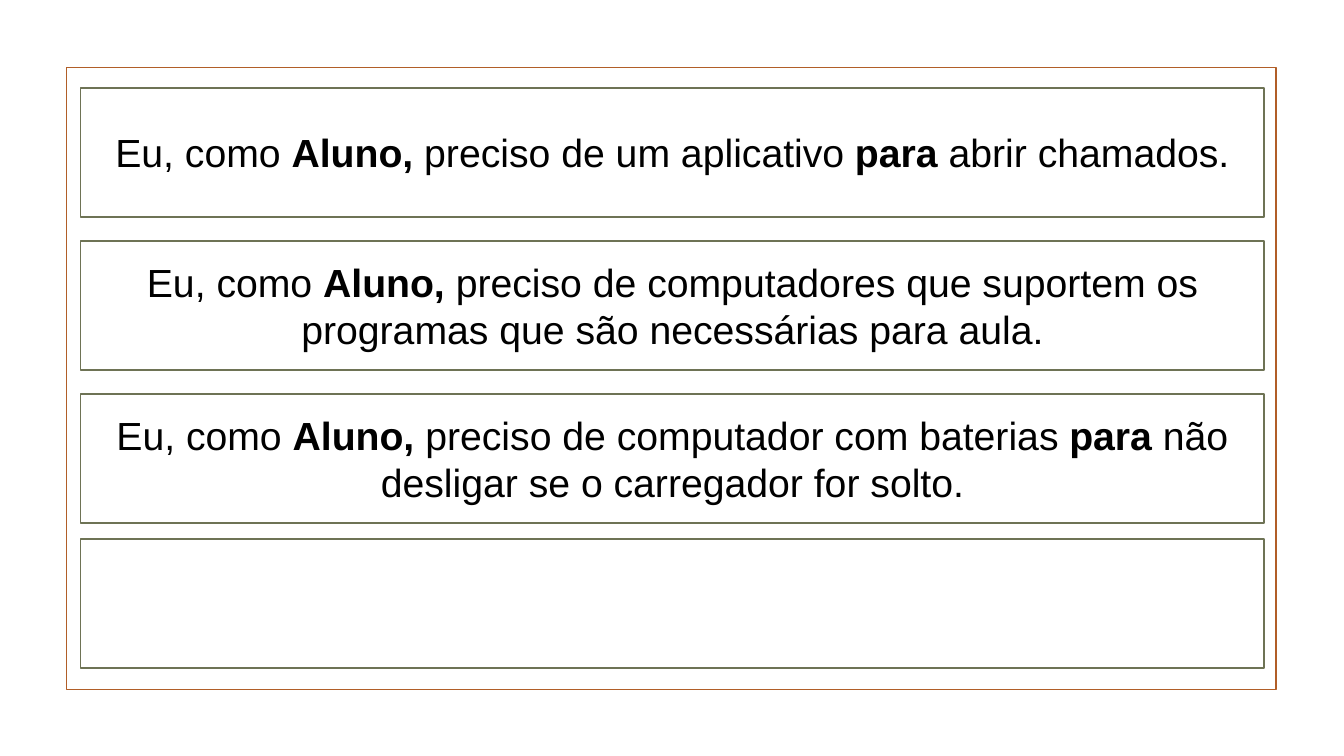
import dataclasses

import pptx
import pptx.dml.color
import pptx.enum.shapes
import pptx.enum.text
import pptx.shapes.autoshape
import pptx.slide
import pptx.util

Pt = pptx.util.Pt
RGBColor = pptx.dml.color.RGBColor

RUST = RGBColor(0xB1, 0x5E, 0x28)
OLIVE = RGBColor(0x6E, 0x73, 0x55)
WHITE = RGBColor(0xFF, 0xFF, 0xFF)
BLACK = RGBColor(0, 0, 0)

FONT = {"name": "Arial", "size": Pt(28)}
FRAME = {"word_wrap": True, "vertical_anchor": pptx.enum.text.MSO_ANCHOR.MIDDLE}
LEFT, WIDE, HIGH = 57.6, 845.28, 92.16
TOP, STEP = 62.64, 109.44
LAST = 385.2


@dataclasses.dataclass(frozen=True)
class Box:
    left: float
    top: float
    wide: float
    high: float
    line: RGBColor
    fill: RGBColor | None = WHITE
    text: str = ""


STORIES = (
    "Eu, como *Aluno,* preciso de um aplicativo* para *abrir chamados.",
    "Eu, como *Aluno,* preciso de computadores que suportem os programas "
    "que são necessárias para aula.",
    "Eu, como *Aluno, *preciso de computador com baterias *para *"
    "não desligar se o carregador for solto.",
)

BOXES = (
    Box(47.52, 48.24, 864, 444.24, RUST, fill=None),
    *(
        Box(LEFT, TOP + row * STEP, WIDE, HIGH, OLIVE, text=story)
        for row, story in enumerate(STORIES)
    ),
    Box(LEFT, LAST, WIDE, HIGH, OLIVE),
)


def style(item: object, form: dict[str, object]) -> None:
    for key, value in form.items():
        setattr(item, key, value)


def write(shape: pptx.shapes.autoshape.Shape, text: str) -> None:
    """Fill the shape with centred text; parts between asterisks are bold."""
    style(shape.text_frame, FRAME)
    para = shape.text_frame.paragraphs[0]
    para.alignment = pptx.enum.text.PP_ALIGN.CENTER
    for index, part in enumerate(text.split("*")):
        run = para.add_run()
        run.text = part
        style(run.font, FONT | {"bold": index % 2 == 1})
        run.font.color.rgb = BLACK


def draw(slide: pptx.slide.Slide, box: Box) -> None:
    shape = slide.shapes.add_shape(
        pptx.enum.shapes.MSO_SHAPE.RECTANGLE,
        Pt(box.left), Pt(box.top), Pt(box.wide), Pt(box.high),
    )
    shape.shadow.inherit = False
    shape.line.color.rgb = box.line
    shape.line.width = Pt(1.25)
    if box.fill is None:
        shape.fill.background()
    else:
        shape.fill.solid()
        shape.fill.fore_color.rgb = box.fill
    if box.text:
        write(shape, box.text)


def main() -> None:
    deck = pptx.Presentation()
    style(deck, {"slide_width": Pt(960), "slide_height": Pt(540)})
    slide = deck.slides.add_slide(deck.slide_layouts[6])
    for box in BOXES:
        draw(slide, box)
    deck.save("out.pptx")


if __name__ == "__main__":
    main()
